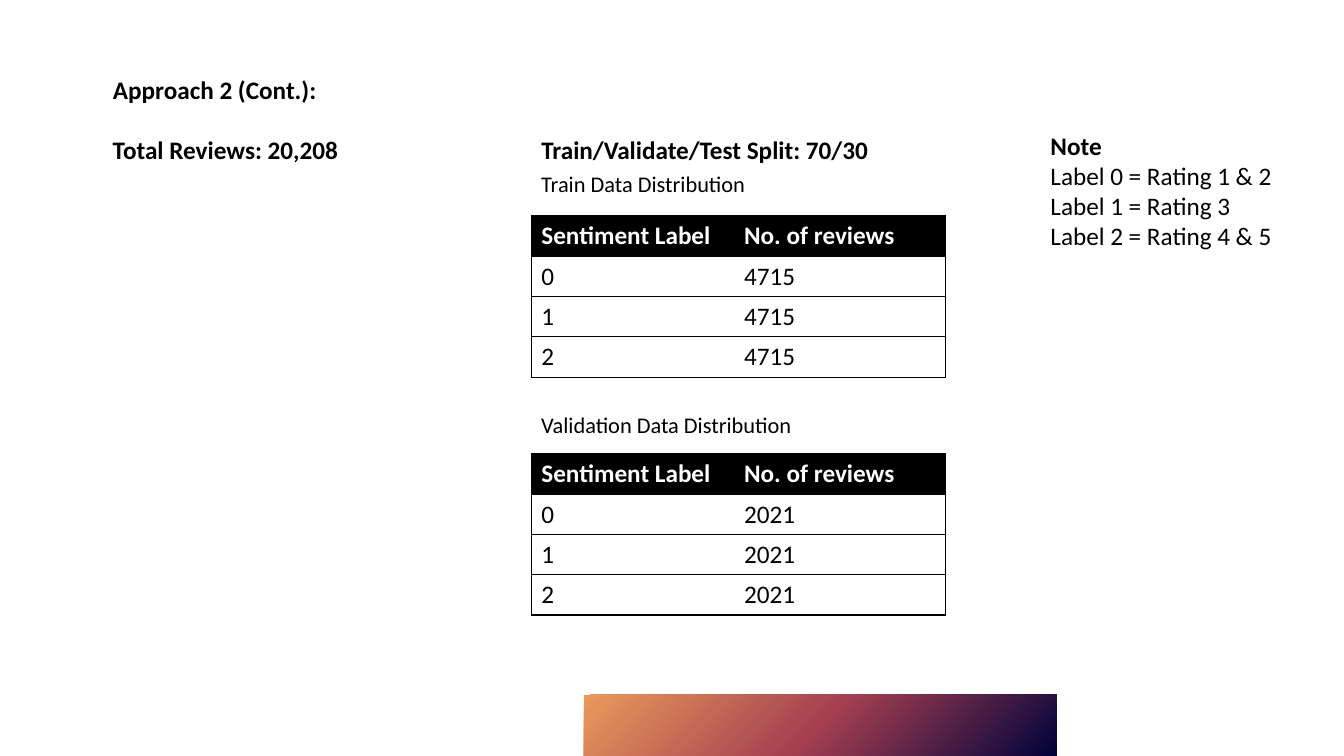
"""Build the slide showing the review counts and label distribution of Approach 2."""
from lxml import etree
from pptx import Presentation
from pptx.dml.color import RGBColor
from pptx.enum.shapes import MSO_SHAPE
from pptx.enum.text import MSO_ANCHOR, MSO_AUTO_SIZE, PP_ALIGN
from pptx.oxml import parse_xml
from pptx.oxml.ns import qn
from pptx.util import Pt

RECTANGLE = MSO_SHAPE.RECTANGLE
TOP = MSO_ANCHOR.TOP
LEFT = PP_ALIGN.LEFT
NO_AUTOFIT = MSO_AUTO_SIZE.NONE
PX = 9144
TITLE_ONLY = 5
THEME = {
    "font": "Calibri",
    "ink": "000000",
    "paper": "FFFFFF",
    "gradient": ((0, "00023A"), (50, "A53F51"), (100, "E99A5B")),
    "text": 18,
    "caption": 16,
    "border": 1,
}


def write_text(para, text, size=THEME["text"], bold=False, color=THEME["ink"]):
    """Add one formatted span to a paragraph."""
    para.alignment = LEFT
    span = para.add_run()
    span.text = text
    span.font.name = THEME["font"]
    span.font.size = Pt(size)
    span.font.bold = bold
    span.font.color.rgb = RGBColor.from_string(color)


def set_border(cell, side, visible):
    """Draw or hide the border on one side of a cell."""
    line = etree.SubElement(cell._tc.get_or_add_tcPr(), qn(f"a:ln{side}"))
    if visible:
        line.set("w", str(Pt(THEME["border"])))
        fill = etree.SubElement(line, qn("a:solidFill"))
        etree.SubElement(fill, qn("a:srgbClr"), val=THEME["ink"])
    else:
        etree.SubElement(line, qn("a:noFill"))


deck = Presentation()
deck.slide_width = 1333 * PX
deck.slide_height = 750 * PX
page = deck.slides.add_slide(deck.slide_layouts[TITLE_ONLY])

band = page.shapes.add_shape(RECTANGLE, 579 * PX, 689 * PX, 469 * PX, 61 * PX)
band.shadow.inherit = False
band.line.fill.background()
band.fill.gradient()
stops = "".join(
    f'<a:gs pos="{percent * 1000}"><a:srgbClr val="{color}"/></a:gs>'
    for percent, color in THEME["gradient"]
)
gradient = parse_xml(
    '<a:gradFill xmlns:a="http://schemas.openxmlformats.org/drawingml/2006/main">'
    f'<a:gsLst>{stops}</a:gsLst><a:path path="circle">'
    '<a:fillToRect l="100000" t="100000"/></a:path></a:gradFill>'
)
properties = band.element.spPr
properties.replace(properties.find(qn("a:gradFill")), gradient)

title = page.shapes.title
title.left, title.top, title.width, title.height = 102 * PX, 69 * PX, 366 * PX, 40 * PX
title.text_frame.vertical_anchor = TOP
title.text_frame.auto_size = NO_AUTOFIT
write_text(title.text_frame.paragraphs[0], "Approach 2 (Cont.):", bold=True)

heading = {"bold": True}
caption = {"size": THEME["caption"]}
text_boxes = (
    (102, 128, 366, 40, (("Total Reviews: 20,208", heading),)),
    (527, 128, 411, 40, (("Train/Validate/Test Split: 70/30", heading),)),
    (527, 164, 366, 37, (("Train Data Distribution", caption),)),
    (527, 403, 366, 37, (("Validation Data Distribution", caption),)),
    (1032, 124, 271, 131, (
        ("Note", heading),
        ("Label 0 = Rating 1 & 2", {}),
        ("Label 1 = Rating 3", {}),
        ("Label 2 = Rating 4 & 5", {}),
    )),
)
for left, top, width, height, lines in text_boxes:
    box = page.shapes.add_textbox(left * PX, top * PX, width * PX, height * PX)
    frame = box.text_frame
    frame.word_wrap = True
    for index, (text, style) in enumerate(lines):
        para = frame.add_paragraph() if index else frame.paragraphs[0]
        write_text(para, text, **style)

column_widths = (201, 210)
row_height = 40
for table_top, reviews in ((214, "4715"), (450, "2021")):
    rows = [("Sentiment Label", "No. of reviews")]
    rows += [(str(label), reviews) for label in range(3)]
    table = page.shapes.add_table(
        len(rows), len(column_widths), 527 * PX, table_top * PX,
        sum(column_widths) * PX, len(rows) * row_height * PX,
    ).table
    for column, width in zip(table.columns, column_widths):
        column.width = width * PX
    for row_index, values in enumerate(rows):
        is_header = row_index == 0
        for column_index, value in enumerate(values):
            cell = table.cell(row_index, column_index)
            set_border(cell, "L", column_index == 0)
            set_border(cell, "R", column_index == 1)
            set_border(cell, "T", True)
            set_border(cell, "B", True)
            cell.fill.solid()
            cell.fill.fore_color.rgb = RGBColor.from_string(
                THEME["ink" if is_header else "paper"]
            )
            write_text(
                cell.text_frame.paragraphs[0], value, bold=is_header,
                color=THEME["paper" if is_header else "ink"],
            )

deck.save("out.pptx")
